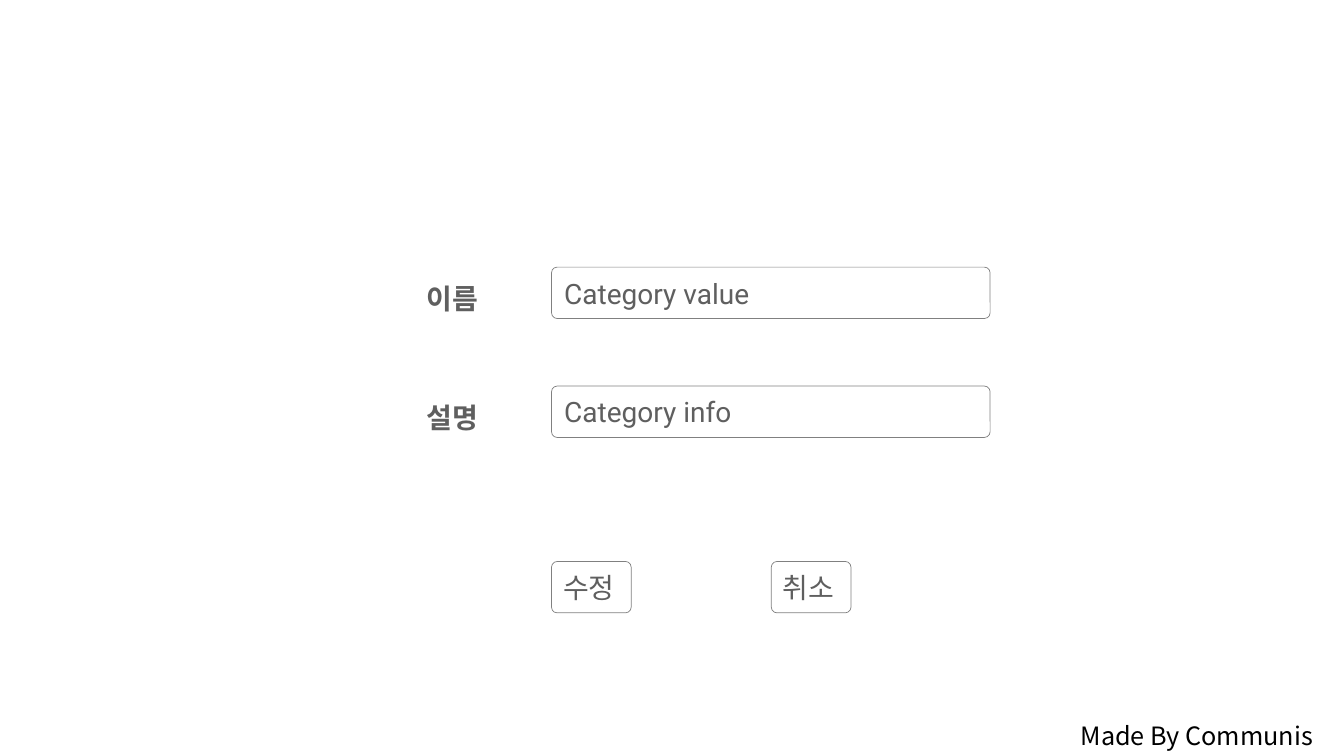
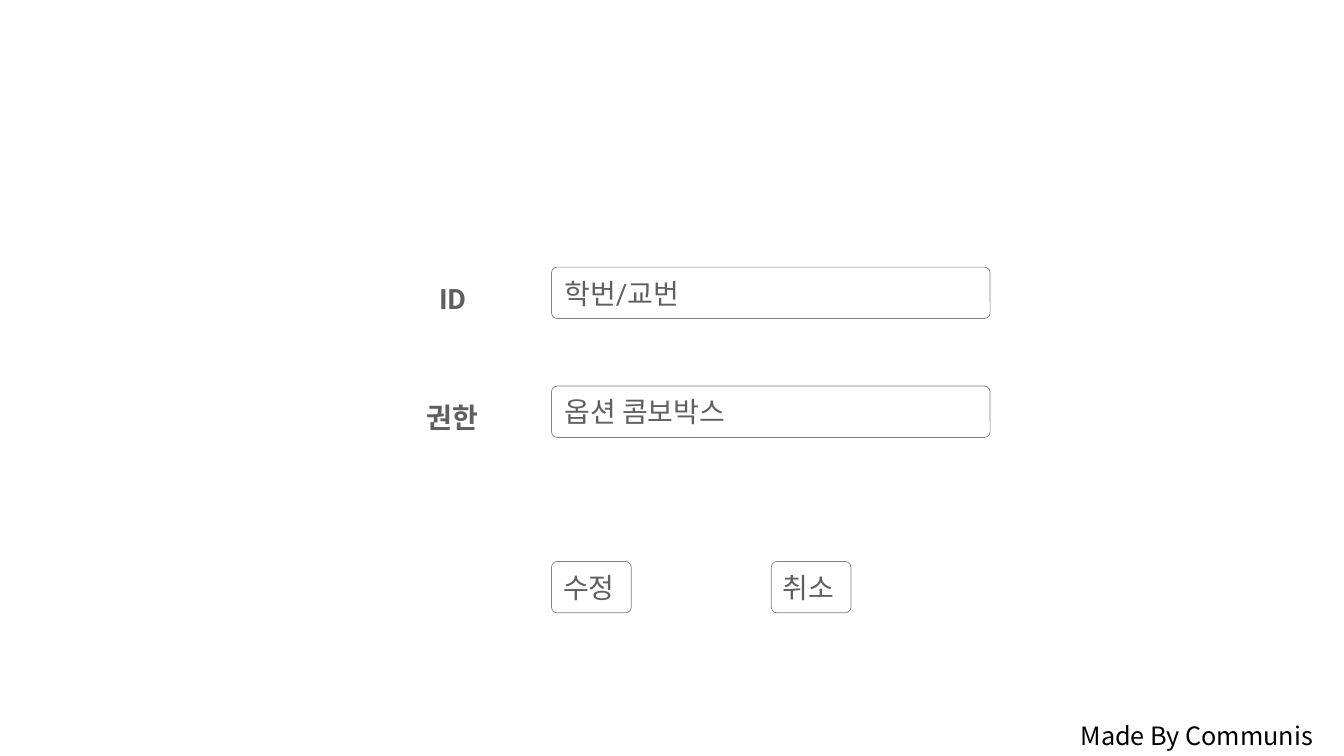
from dataclasses import dataclass

import pptx
import pptx.dml.color
import pptx.enum.shapes
import pptx.enum.text
import pptx.shapes.autoshape
import pptx.shapes.shapetree
import pptx.slide
import pptx.text.text
import pptx.util

Inches = pptx.util.Inches
Pt = pptx.util.Pt
Color = pptx.dml.color.RGBColor


@dataclass(frozen=True)
class Theme:
    ink: Color = Color(0x5F, 0x5F, 0x5F)
    border: Color = Color(0x80, 0x80, 0x80)
    paper: Color = Color(0xFF, 0xFF, 0xFF)
    footer_ink: Color = Color(0, 0, 0)
    form_font: str = "Roboto"
    footer_font: str = "Noto Sans CJK KR"
    form_size: int = 20
    footer_size: int = 18
    border_width: float = 0.5


@dataclass(frozen=True)
class Field:
    label: str
    value: str
    label_width: float = 0.56
    label_height: float = 0.42


@dataclass(frozen=True)
class Box:
    left: float
    top: float
    width: float
    height: float


THEME = Theme()
FOOTER = "Made By Communis"
BUTTONS = ("수정", "취소")
FORMS = (
    (Field("이름", "Category value"), Field("설명", "Category info")),
    (Field("ID", "학번/교번", 0.3, 0.38), Field("권한", "옵션 콤보박스")),
)

# Form grid
INPUT_LEFT, INPUT_WIDTH, CONTROL_HEIGHT = 5.47, 4.35, 0.51
FIRST_ROW_TOP, ROW_PITCH = 2.65, 1.18
LABEL_CENTER, LABEL_DROP = 4.49, 0.06
BUTTON_TOP, BUTTON_WIDTH, BUTTON_PITCH = 5.57, 0.79, 2.18


def write_text(
    frame: pptx.text.text.TextFrame, text: str, font: str, size: int, color: Color,
    wrap: bool = False, bold: bool = False,
) -> pptx.text.text._Paragraph:
    frame.word_wrap = wrap
    frame.auto_size = pptx.enum.text.MSO_AUTO_SIZE.SHAPE_TO_FIT_TEXT
    paragraph = frame.paragraphs[0]
    paragraph.text = text
    paragraph.alignment = pptx.enum.text.PP_ALIGN.LEFT
    paragraph.font.name = font
    paragraph.font.size = Pt(size)
    paragraph.font.bold = bold
    paragraph.font.color.rgb = color
    return paragraph


def set_margins(frame: pptx.text.text.TextFrame, side: float, edge: float) -> None:
    frame.margin_left = frame.margin_right = Inches(side)
    frame.margin_top = frame.margin_bottom = Inches(edge)


def place(box: Box) -> tuple[pptx.util.Length, ...]:
    return tuple(Inches(length) for length in (box.left, box.top, box.width, box.height))


def draw_control(
    shapes: pptx.shapes.shapetree._BaseGroupShapes, box: Box, text: str,
    corner: float, side_margin: float, wrap: bool,
) -> None:
    shape = shapes.add_shape(pptx.enum.shapes.MSO_SHAPE.ROUNDED_RECTANGLE, *place(box))
    shape.adjustments[0] = corner
    shape.shadow.inherit = False
    shape.fill.solid()
    shape.fill.fore_color.rgb = THEME.paper
    shape.line.color.rgb = THEME.border
    shape.line.width = Pt(THEME.border_width)
    frame = shape.text_frame
    frame.vertical_anchor = pptx.enum.text.MSO_ANCHOR.MIDDLE
    set_margins(frame, side_margin, 0.07)
    write_text(frame, text, THEME.form_font, THEME.form_size, THEME.ink, wrap)


def draw_field(slide: pptx.slide.Slide, field: Field, top: float) -> None:
    group = slide.shapes.add_group_shape()
    input_box = Box(INPUT_LEFT, top, INPUT_WIDTH, CONTROL_HEIGHT)
    draw_control(group.shapes, input_box, field.value, 0.11, 0.11, True)
    label_box = Box(LABEL_CENTER - field.label_width / 2, top + LABEL_DROP,
                    field.label_width, field.label_height)
    frame = group.shapes.add_textbox(*place(label_box)).text_frame
    set_margins(frame, 0, 0)
    paragraph = write_text(frame, field.label, THEME.form_font, THEME.form_size,
                           THEME.ink, bold=True)
    paragraph.alignment = pptx.enum.text.PP_ALIGN.CENTER
    paragraph.line_spacing = 1.25
    paragraph.space_after = Pt(5)


def draw_footer(slide: pptx.slide.Slide) -> None:
    text_box = slide.shapes.add_textbox(*place(Box(10.62, 7.1, 2.52, 0.4)))
    write_text(text_box.text_frame, FOOTER, THEME.footer_font, THEME.footer_size,
               THEME.footer_ink)


def draw_form(slide: pptx.slide.Slide, fields: tuple[Field, ...]) -> None:
    draw_footer(slide)
    # Labelled inputs
    for row, field in enumerate(fields):
        draw_field(slide, field, FIRST_ROW_TOP + row * ROW_PITCH)
    # Buttons
    for column, caption in enumerate(BUTTONS):
        box = Box(INPUT_LEFT + column * BUTTON_PITCH, BUTTON_TOP,
                  BUTTON_WIDTH, CONTROL_HEIGHT)
        draw_control(slide.shapes, box, caption, 0.11, 0.1, False)


def main() -> None:
    presentation = pptx.Presentation()
    presentation.slide_width = Inches(13.33)
    presentation.slide_height = Inches(7.5)
    blank_layout = presentation.slide_layouts[6]
    for fields in FORMS:
        draw_form(presentation.slides.add_slide(blank_layout), fields)
    presentation.save("out.pptx")


main()
